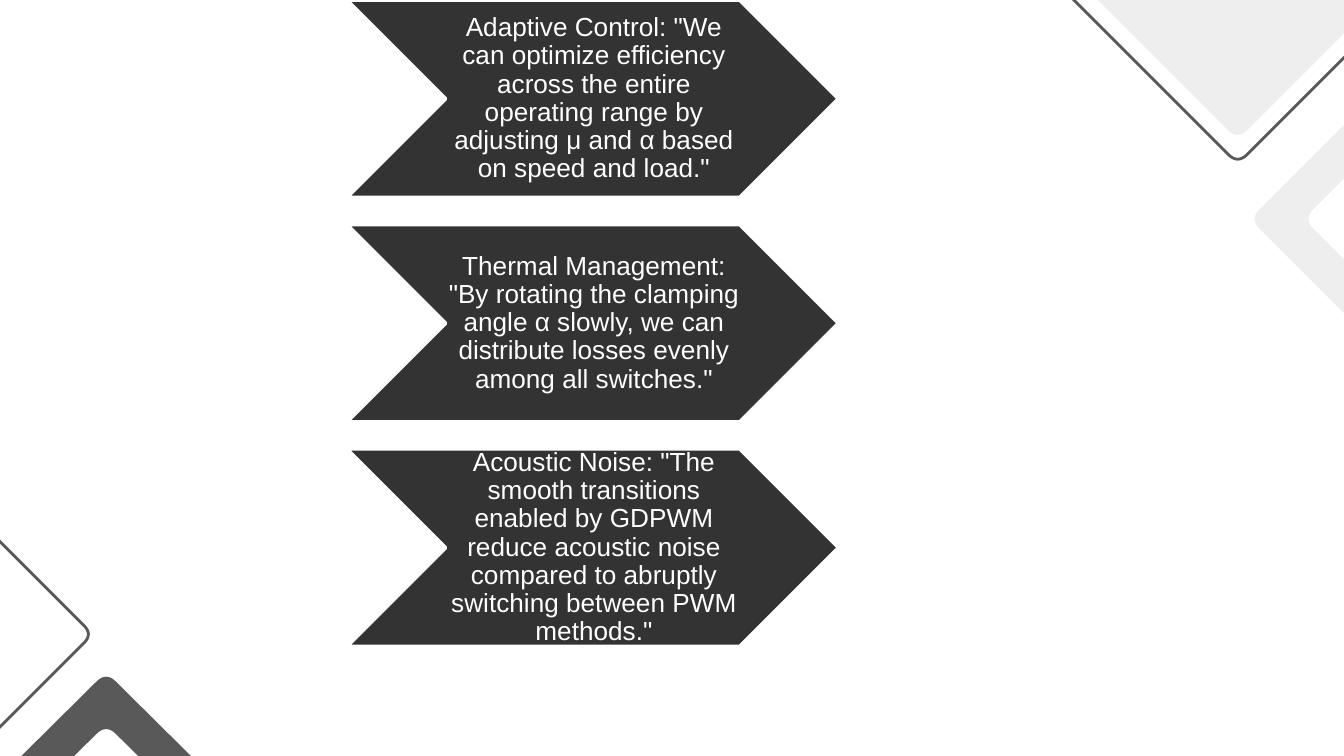
from math import hypot

from pptx import Presentation
from pptx.dml.color import RGBColor
from pptx.enum import shapes, text
from pptx.util import Inches, Pt

DARK = RGBColor(0x33, 0x33, 0x33)
GRAY = RGBColor(0x59, 0x59, 0x59)
LIGHT = RGBColor(0xEE, 0xEE, 0xEE)
WHITE = RGBColor(0xFF, 0xFF, 0xFF)

CURVE_STEPS = 8
BENEFITS = [
    'Adaptive Control: "We can optimize efficiency across the entire operating '
    'range by adjusting μ and α based on speed and load."',
    'Thermal Management: "By rotating the clamping angle α slowly, we can '
    'distribute losses evenly among all switches."',
    'Acoustic Noise: "The smooth transitions enabled by GDPWM reduce acoustic '
    'noise compared to abruptly switching between PWM methods."',
]


def toward(start, end, distance):
    dx, dy = end[0] - start[0], end[1] - start[1]
    ratio = distance / hypot(dx, dy)
    return start[0] + dx * ratio, start[1] + dy * ratio


def round_corners(corners):
    points = []
    for i, (x, y, cut) in enumerate(corners):
        if not cut:
            points.append((x, y))
            continue
        a = toward((x, y), corners[i - 1], cut)
        b = toward((x, y), corners[(i + 1) % len(corners)], cut)
        for step in range(CURVE_STEPS + 1):
            t = step / CURVE_STEPS
            points.append(tuple(
                (1 - t) ** 2 * p + 2 * t * (1 - t) * q + t ** 2 * r
                for p, q, r in zip(a, (x, y), b)))
    return points


def add_rounded_polygon(s, corners, fill=None, line=None):
    points = [(Inches(x), Inches(y)) for x, y in round_corners(corners)]
    builder = s.shapes.build_freeform(*points[0], scale=1.0)
    builder.add_line_segments(points[1:], close=True)
    sp = builder.convert_to_shape()
    sp.shadow.inherit = False
    if fill is None:
        sp.fill.background()
    else:
        sp.fill.solid()
        sp.fill.fore_color.rgb = fill
    if line is None:
        sp.line.fill.background()
    else:
        sp.line.color.rgb = line
        sp.line.width = Pt(1.5)


def add_top_diamond(s, top, **style):
    add_rounded_polygon(s, [
        (7.93, top, 0), (7.96, top + 0.07, 0), (9.21, top + 1.32, 0.1),
        (10.46, top + 0.07, 0), (10.49, top, 0)], **style)


def add_decorations(s):
    add_top_diamond(s, -0.1, line=GRAY)
    add_top_diamond(s, -0.28, fill=LIGHT)
    add_rounded_polygon(s, [
        (0.79, 5, 0.1), (-0.33, 6.11, 0.1), (-0.13, 6.3, 0),
        (0.79, 5.39, 0.1), (1.71, 6.3, 0), (1.91, 6.11, 0.1)], fill=GRAY)
    add_rounded_polygon(s, [
        (9.3, 1.63, 0.1), (10.47, 2.8, 0.1), (10.67, 2.6, 0),
        (9.7, 1.63, 0.1), (10.67, 0.66, 0), (10.47, 0.46, 0.1)], fill=LIGHT)
    add_rounded_polygon(s, [
        (-0.36, 5.74, 0), (-0.3, 5.71, 0), (0.69, 4.72, 0.09),
        (-0.3, 3.73, 0), (-0.36, 3.71, 0)], line=GRAY)


def add_chevron(s, top, benefit):
    sp = s.shapes.add_shape(shapes.MSO_SHAPE.CHEVRON, Inches(2.58), Inches(top),
                            Inches(3.66), Inches(1.47))
    sp.shadow.inherit = False
    sp.fill.solid()
    sp.fill.fore_color.rgb = DARK
    sp.line.color.rgb = WHITE
    sp.line.width = Pt(2)
    tf = sp.text_frame
    tf.word_wrap = True
    tf.vertical_anchor = text.MSO_ANCHOR.MIDDLE
    tf.margin_left = Inches(0.02)
    tf.margin_right = 0
    tf.margin_top = tf.margin_bottom = Inches(0.01)
    p = tf.paragraphs[0]
    p.alignment = text.PP_ALIGN.CENTER
    p.line_spacing = 0.9
    r = p.add_run()
    r.text = benefit
    r.font.name = "Arial"
    r.font.size = Pt(14)
    r.font.color.rgb = WHITE


def main():
    prs = Presentation()
    prs.slide_width = Inches(10)
    prs.slide_height = Inches(10) * 9 // 16
    s = prs.slides.add_slide(prs.slide_layouts[6])
    add_decorations(s)
    for i, benefit in enumerate(BENEFITS):
        add_chevron(s, 1.67 * i, benefit)
    prs.save("out.pptx")


if __name__ == "__main__":
    main()
